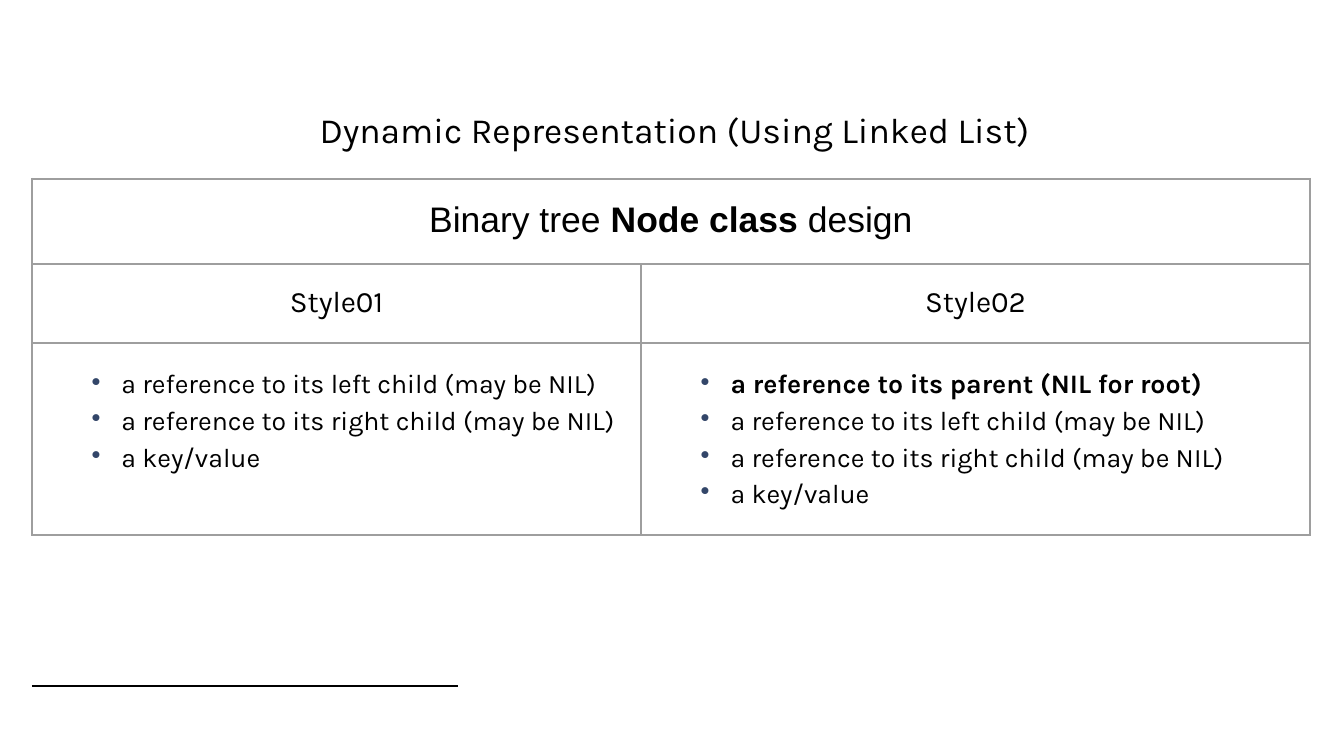
"""Build a slide comparing two node class designs for a linked binary tree."""
from lxml import etree
from pptx import Presentation
from pptx.dml.color import RGBColor
from pptx.enum.shapes import MSO_CONNECTOR
from pptx.enum.text import PP_ALIGN
from pptx.oxml import parse_xml
from pptx.oxml.ns import nsdecls, qn
from pptx.util import Inches, Pt

STRAIGHT = MSO_CONNECTOR.STRAIGHT
CENTER = PP_ALIGN.CENTER
BLACK = RGBColor(0x00, 0x00, 0x00)
BORDER_GRAY = RGBColor(0x9E, 0x9E, 0x9E)
BULLET_BLUE = RGBColor(0x33, 0x46, 0x69)

CHILD_FIELDS = [
    "a reference to its left child (may be NIL)",
    "a reference to its right child (may be NIL)",
    "a key/value",
]
PARENT_FIELD = "a reference to its parent (NIL for root)"
STYLES = [
    ("Style01", CHILD_FIELDS),
    ("Style02", [PARENT_FIELD] + CHILD_FIELDS),
]


def set_font(paragraph, size, name="Karla", bold=False):
    paragraph.font.name = name
    paragraph.font.size = Pt(size)
    paragraph.font.bold = bold
    paragraph.font.color.rgb = BLACK


def add_bullet(paragraph):
    properties = paragraph._p.get_or_add_pPr()
    properties.set("marL", str(Inches(0.32)))
    properties.set("indent", str(Inches(-0.14)))
    color = etree.SubElement(properties, qn("a:buClr"))
    etree.SubElement(color, qn("a:srgbClr"), val=str(BULLET_BLUE))
    etree.SubElement(properties, qn("a:buChar"), char="•")


prs = Presentation()
prs.slide_width = Inches(6.31)
prs.slide_height = Inches(3.55)
slide = prs.slides.add_slide(prs.slide_layouts[6])

heading = slide.shapes.add_textbox(Inches(1), Inches(0.46), Inches(4.75), Inches(0.22)).text_frame
heading.word_wrap = True
heading.margin_left = heading.margin_right = heading.margin_bottom = 0
heading.margin_top = Inches(0.01)
title = heading.paragraphs[0]
title.text = "Dynamic Representation (Using Linked List)"
title._p.get_or_add_pPr().set("marL", str(Inches(0.5)))
title.line_spacing = 1.18
set_font(title, 12)

footer_rule = slide.shapes.add_connector(
    STRAIGHT, Inches(0.15), Inches(3.22), Inches(2.15), Inches(3.22))
footer_rule.line.color.rgb = BLACK
footer_rule.line.width = Pt(0.75)
etree.SubElement(footer_rule._element.spPr, qn("a:effectLst"))

design = slide.shapes.add_table(
    3, 2, Inches(0.15), Inches(0.84), Inches(6), Inches(1.67)).table
design.first_row = False
design.horz_banding = False
for column, width in zip(design.columns, (2.86, 3.14)):
    column.width = Inches(width)
for row, height in zip(design.rows, (0.4, 0.37, 0.9)):
    row.height = Inches(height)

for cell in design.iter_cells():
    cell.margin_left = cell.margin_right = Inches(0.1)
    cell.margin_top = cell.margin_bottom = Inches(0.1)
    for side in ("lnL", "lnR", "lnT", "lnB"):
        cell._tc.get_or_add_tcPr().append(parse_xml(
            f'<a:{side} {nsdecls("a")} w="{Pt(0.75)}"><a:solidFill>'
            f'<a:srgbClr val="{BORDER_GRAY}"/></a:solidFill></a:{side}>'))
    cell.fill.background()

design.cell(0, 0).merge(design.cell(0, 1))
caption = design.cell(0, 0).text_frame.paragraphs[0]
caption.alignment = CENTER
set_font(caption, 12, "Arial")
for text, bold in (("Binary tree ", False), ("Node class", True), (" design", False)):
    run = caption.add_run()
    run.text = text
    run.font.bold = bold

for index, (style, fields) in enumerate(STYLES):
    style_name = design.cell(1, index).text_frame.paragraphs[0]
    style_name.text = style
    style_name.alignment = CENTER
    set_font(style_name, 10)

    field_list = design.cell(2, index).text_frame
    field_list.text = "\n".join(fields)
    for field in field_list.paragraphs:
        add_bullet(field)
        field.line_spacing = 1.17
        set_font(field, 9, bold=field.text == PARENT_FIELD)

prs.save("out.pptx")
